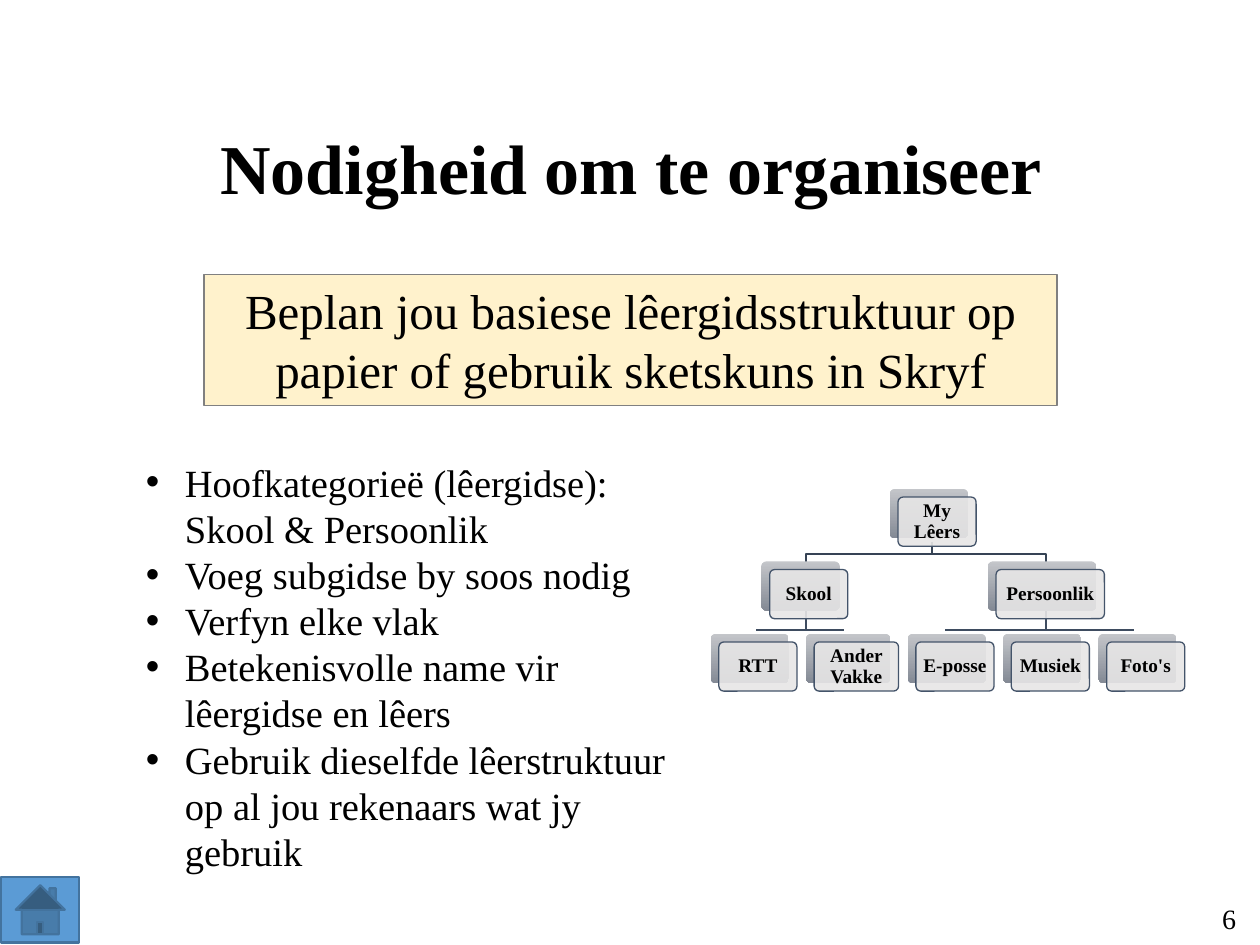
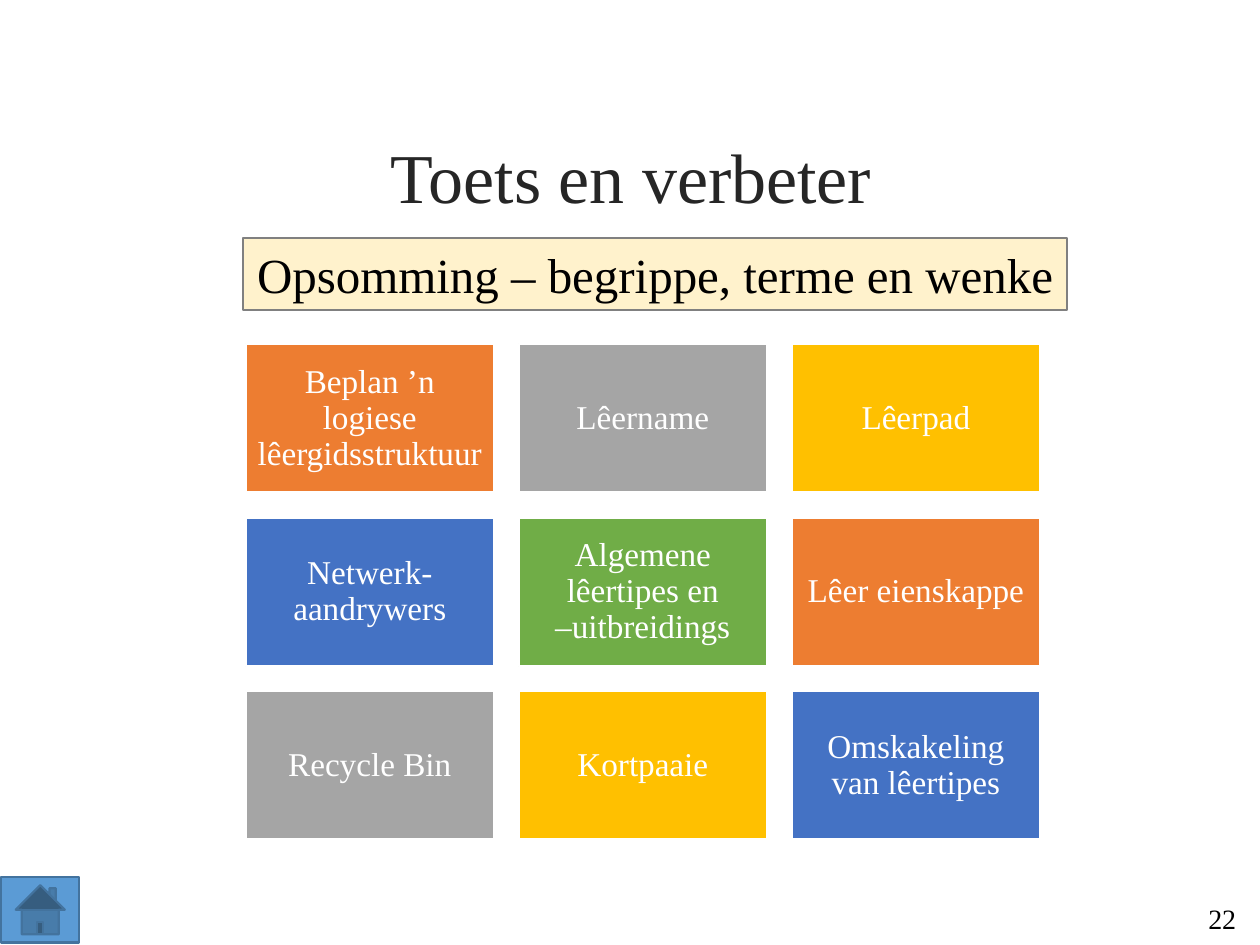
from dataclasses import dataclass
from itertools import cycle

from lxml import etree
from pptx import Presentation
from pptx.dml.color import RGBColor
from pptx.enum.shapes import MSO_SHAPE
from pptx.enum.text import MSO_ANCHOR, PP_ALIGN
from pptx.oxml.ns import qn
from pptx.util import Emu, Inches, Pt

RECTANGLE = MSO_SHAPE.RECTANGLE
ROUNDED = MSO_SHAPE.ROUNDED_RECTANGLE
HOME_BUTTON = MSO_SHAPE.ACTION_BUTTON_HOME
TOP, MIDDLE = MSO_ANCHOR.TOP, MSO_ANCHOR.MIDDLE
LEFT, CENTER, RIGHT = PP_ALIGN.LEFT, PP_ALIGN.CENTER, PP_ALIGN.RIGHT

SLIDE_WIDTH, SLIDE_HEIGHT = Inches(10), Inches(7.5)
CELL = SLIDE_WIDTH // 100

FONT = "Times New Roman"
BLACK, WHITE, CHARCOAL = "000000", "FFFFFF", "262626"
CREAM, GRAY = "FFF2CC", "808080"
BUTTON_FILL, BUTTON_LINE = "5B9BD5", "43739E"
CARD_FILL, CARD_LINE = "E7E6E6", "44546A"
SHADE_TOP, SHADE_BOTTOM = "C4C6CA", "848A95"
BRANCH_COLORS = ["364355", "3E4C60"]
TILE_COLORS = ["ED7D31", "A5A5A5", "FFC000", "4472C4", "70AD47"]

TREE_LEFT, TREE_TOP = 56.4, 38.8
CARD_HEIGHT, CARD_OFFSET = 3.9, 0.65
LEVEL_PITCH, LEAF_GAP, BRANCH_DROP = 5.75, 1.37, 0.6

TILE_LEFT, TILE_TOP = 19.5, 27.3
TILE_WIDTH, TILE_HEIGHT, TILE_COLUMNS = 19.7, 11.8, 3
TILE_GAP = TILE_WIDTH / 10


@dataclass(frozen=True)
class Box:
    column: float
    row: float
    columns: float
    rows: float

    def emu(self) -> list[Emu]:
        return [cells(n) for n in (self.column, self.row, self.columns, self.rows)]

    def shifted(self, offset: float) -> "Box":
        return Box(self.column + offset, self.row + offset, self.columns, self.rows)

    @property
    def center(self) -> float:
        return self.column + self.columns / 2


@dataclass(frozen=True)
class TextStyle:
    size: float
    color: str = BLACK
    bold: bool = False
    align: PP_ALIGN = CENTER
    anchor: MSO_ANCHOR = MIDDLE
    side_margin: float = 1
    margin: float = 0.5
    line_spacing: float | None = None


@dataclass(frozen=True)
class Folder:
    name: str
    width: float = 6.2
    children: tuple["Folder", ...] = ()


@dataclass(frozen=True)
class PlacedFolder:
    name: str
    box: Box
    level: int
    parent: Box | None


BANNER_STYLE = TextStyle(28, anchor=TOP, side_margin=0.7)
BULLET_STYLE = TextStyle(22, align=LEFT, anchor=TOP)
NUMBER_STYLE = TextStyle(16, align=RIGHT)
CARD_STYLE = TextStyle(11, bold=True, side_margin=0.3, line_spacing=0.9)
TILE_STYLE = TextStyle(19, WHITE, side_margin=0.8, margin=0.8, line_spacing=0.9)

BULLETS = [
    "Hoofkategorieë (lêergidse):\vSkool & Persoonlik",
    "Voeg subgidse by soos nodig",
    "Verfyn elke vlak",
    "Betekenisvolle name vir lêergidse en lêers",
    "Gebruik dieselfde lêerstruktuur op al jou rekenaars wat jy gebruik",
]

FOLDERS = Folder("My Lêers", children=(
    Folder("Skool", children=(Folder("RTT"), Folder("Ander Vakke", 6.7))),
    Folder("Persoonlik", 8.6, (Folder("E-posse"), Folder("Musiek"), Folder("Foto's"))),
))

TERMS = [
    "Beplan ’n logiese lêergidsstruktuur", "Lêername", "Lêerpad",
    "Netwerk-aandrywers", "Algemene lêertipes en\v–uitbreidings", "Lêer eienskappe",
    "Recycle Bin", "Kortpaaie", "Omskakeling van lêertipes",
]


def cells(count: float) -> Emu:
    return Emu(round(count * CELL))


def rgb(value: str) -> RGBColor:
    return RGBColor.from_string(value)


def write(shape, text: str, style: TextStyle) -> None:
    frame = shape.text_frame
    frame.text = text
    frame.word_wrap = True
    frame.vertical_anchor = style.anchor
    frame.margin_left = frame.margin_right = cells(style.side_margin)
    frame.margin_top = frame.margin_bottom = cells(style.margin)
    for paragraph in frame.paragraphs:
        paragraph.alignment = style.align
        if style.line_spacing:
            paragraph.line_spacing = style.line_spacing
        for run in paragraph.runs:
            run.font.name = FONT
            run.font.size = Pt(style.size)
            run.font.bold = style.bold
            run.font.color.rgb = rgb(style.color)


def add_text(slide, box: Box, text: str, style: TextStyle):
    shape = slide.shapes.add_textbox(*box.emu())
    write(shape, text, style)
    return shape


def add_panel(slide, kind: MSO_SHAPE, box: Box, fill: str | None = None,
              line: str | None = None, weight: float = 0.75):
    shape = slide.shapes.add_shape(kind, *box.emu())
    shape.shadow.inherit = False
    if fill:
        shape.fill.solid()
        shape.fill.fore_color.rgb = rgb(fill)
    if line:
        shape.line.color.rgb = rgb(line)
        shape.line.width = Pt(weight)
    else:
        shape.line.fill.background()
    return shape


def add_frame(slide, title: str, title_box: Box, title_style: TextStyle,
              banner: str, banner_box: Box, number: str) -> None:
    add_text(slide, title_box, title, title_style)
    write(add_panel(slide, RECTANGLE, banner_box, CREAM, GRAY), banner, BANNER_STYLE)
    add_text(slide, Box(94.8, 71.3, 4.3, 3.1), number, NUMBER_STYLE)
    add_panel(slide, HOME_BUTTON, Box(0.1, 69.6, 6.2, 5.2), BUTTON_FILL, BUTTON_LINE, 1.25)


def add_bullets(slide, box: Box, items: list[str]) -> None:
    shape = add_text(slide, box, "\n".join(items), BULLET_STYLE)
    for paragraph in shape.text_frame.paragraphs:
        properties = paragraph._p.get_or_add_pPr()
        properties.set("marL", str(cells(3.1)))
        properties.set("indent", str(cells(-3.1)))
        etree.SubElement(properties, qn("a:buFont")).set("typeface", "Arial")
        etree.SubElement(properties, qn("a:buChar")).set("char", "•")


def leaf_span(folder: Folder) -> float:
    if not folder.children:
        return folder.width
    return sum(map(leaf_span, folder.children)) + LEAF_GAP * (len(folder.children) - 1)


def folder_box(folder: Folder, left: float, level: int) -> Box:
    column = left + (leaf_span(folder) - folder.width) / 2
    if folder.children:
        lefts = child_lefts(folder, left)
        first = folder_box(folder.children[0], lefts[0], level + 1)
        last = folder_box(folder.children[-1], lefts[-1], level + 1)
        column = (first.column + last.column + last.columns - folder.width) / 2
    return Box(column, TREE_TOP + level * LEVEL_PITCH, folder.width, CARD_HEIGHT)


def child_lefts(folder: Folder, left: float) -> list[float]:
    lefts = []
    for child in folder.children:
        lefts.append(left)
        left += leaf_span(child) + LEAF_GAP
    return lefts


def place_folders(folder: Folder, left: float, level: int = 0,
                  parent: Box | None = None) -> list[PlacedFolder]:
    box = folder_box(folder, left, level)
    placed = [PlacedFolder(folder.name, box, level, parent)]
    for child, child_left in zip(folder.children, child_lefts(folder, left)):
        placed += place_folders(child, child_left, level + 1, box)
    return placed


def add_branch(slide, parent: Box, child: Box, color: str) -> None:
    bend = child.row - BRANCH_DROP
    builder = slide.shapes.build_freeform(parent.center, parent.row + parent.rows, scale=CELL)
    builder.add_line_segments(
        [(parent.center, bend), (child.center, bend), (child.center, child.row)], close=False)
    branch = builder.convert_to_shape()
    branch.shadow.inherit = False
    branch.fill.background()
    branch.line.color.rgb = rgb(color)
    branch.line.width = Pt(1.25)


def add_card(slide, folder: PlacedFolder) -> None:
    shade = add_panel(slide, ROUNDED, folder.box)
    shade.fill.gradient()
    shade.fill.gradient_angle = 270
    for stop, color in zip(shade.fill.gradient_stops, (SHADE_TOP, SHADE_BOTTOM)):
        stop.color.rgb = rgb(color)
    card = add_panel(slide, ROUNDED, folder.box.shifted(CARD_OFFSET), CARD_FILL, CARD_LINE)
    color_element = card.fill._xPr.find(qn("a:solidFill"))[0]
    etree.SubElement(color_element, qn("a:alpha")).set("val", "90000")
    for shape in (shade, card):
        shape.adjustments[0] = 0.1
    write(card, folder.name, CARD_STYLE)


def add_folder_tree(slide) -> None:
    placed = place_folders(FOLDERS, TREE_LEFT)
    for folder in placed:
        if folder.parent:
            add_branch(slide, folder.parent, folder.box, BRANCH_COLORS[folder.level - 1])
    for folder in placed:
        add_card(slide, folder)


def add_term_tiles(slide) -> None:
    for index, (term, color) in enumerate(zip(TERMS, cycle(TILE_COLORS))):
        row, column = divmod(index, TILE_COLUMNS)
        box = Box(TILE_LEFT + column * (TILE_WIDTH + TILE_GAP),
                  TILE_TOP + row * (TILE_HEIGHT + TILE_GAP), TILE_WIDTH, TILE_HEIGHT)
        write(add_panel(slide, RECTANGLE, box, color, WHITE, 1.25), term, TILE_STYLE)


def main() -> None:
    presentation = Presentation()
    presentation.slide_width, presentation.slide_height = SLIDE_WIDTH, SLIDE_HEIGHT
    blank = presentation.slide_layouts[6]

    organise = presentation.slides.add_slide(blank)
    add_frame(organise, "Nodigheid om te organiseer", Box(12.9, 9.2, 74.4, 8),
              TextStyle(40, bold=True),
              "Beplan jou basiese lêergidsstruktuur op papier of gebruik sketskuns in Skryf",
              Box(16.2, 21.8, 67.7, 10.4), "6")
    add_bullets(organise, Box(10.6, 35.9, 45.8, 30.6), BULLETS)
    add_folder_tree(organise)

    summary = presentation.slides.add_slide(blank)
    add_frame(summary, "Toets en verbeter", Box(12.9, 10, 74.4, 7.8),
              TextStyle(40, CHARCOAL),
              "Opsomming – begrippe, terme en wenke", Box(19.3, 18.9, 65.4, 5.7), "22")
    add_term_tiles(summary)

    presentation.save("out.pptx")


if __name__ == "__main__":
    main()
